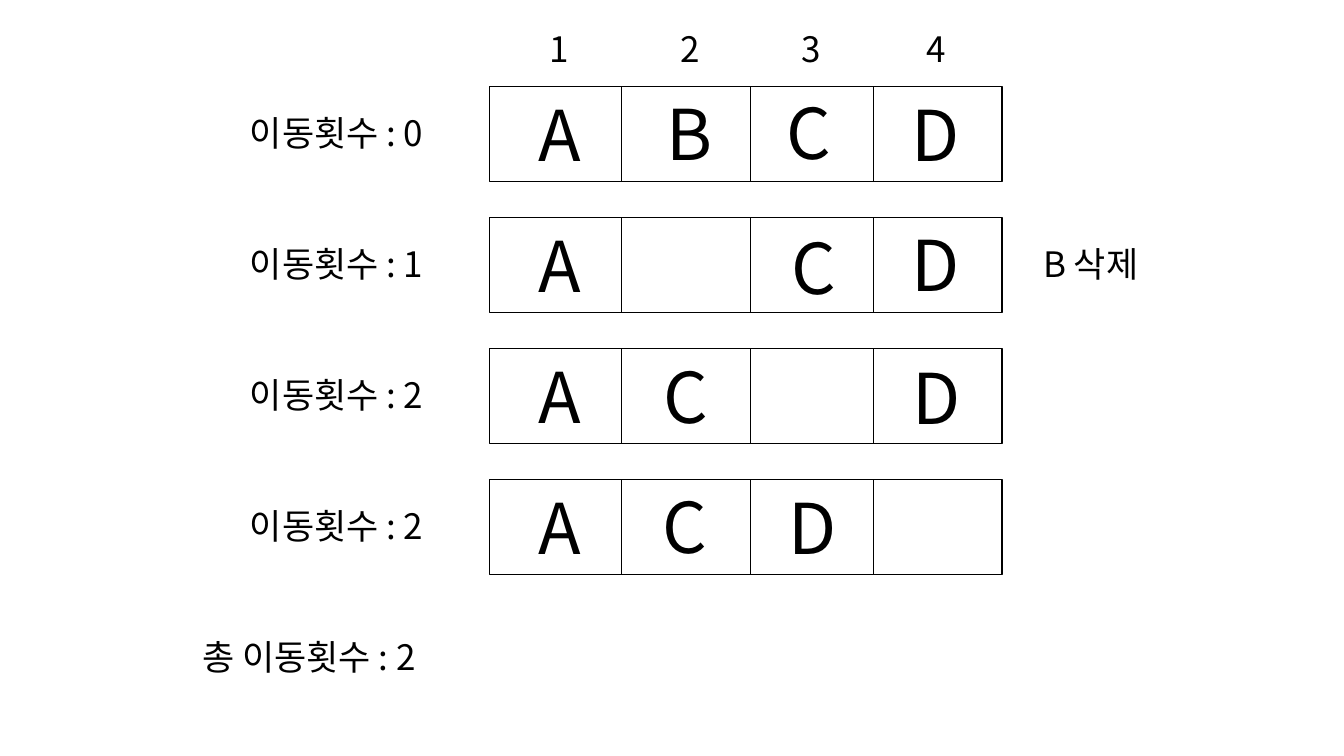
from dataclasses import dataclass

from lxml import etree
from pptx import Presentation
from pptx.dml.color import RGBColor
from pptx.enum.shapes import MSO_CONNECTOR, MSO_SHAPE
from pptx.enum.text import MSO_AUTO_SIZE
from pptx.oxml.ns import qn
from pptx.util import Cm, Pt

STRAIGHT = MSO_CONNECTOR.STRAIGHT
RECTANGLE = MSO_SHAPE.RECTANGLE
FIT_SHAPE = MSO_AUTO_SIZE.SHAPE_TO_FIT_TEXT

COLORS = {"ink": "000000"}
FONT = "Noto Sans CJK KR"
SMALL, LARGE = 25, 50

# Array grid, in centimetres
ROW_TOP, ROW_STEP, ROW_HEIGHT = 2.18, 3.3, 2.4
LEFT, RIGHT = 12.34, 25.25
DIVIDERS = (15.67, 18.9, 22.0)
LABEL_TOP, LABEL_HEIGHT = 2.69, 1.32
LETTER_WIDTHS = {"A": 1.68, "B": 1.55, "C": 1.65, "D": 1.8}


@dataclass
class Letter:
    text: str
    left: float
    shift: float = 0


@dataclass
class Label:
    text: str
    left: float
    top: float
    width: float
    wrap: bool = False


@dataclass
class ArrayRow:
    moves: int
    letters: list[Letter]


A = Letter("A", 13.31)
ROWS = [
    ArrayRow(0, [A, Letter("B", 16.54, -0.03), Letter("C", 19.58, -0.05), Letter("D", 22.73)]),
    ArrayRow(1, [A, Letter("C", 19.71, 0.05), Letter("D", 22.73, -0.03)]),
    ArrayRow(2, [A, Letter("C", 16.48), Letter("D", 22.75, 0.03)]),
    ArrayRow(2, [A, Letter("C", 16.45, -0.03), Letter("D", 19.61)]),
]
LABELS = [
    Label("1", 13.59, 0.58, 1.0),
    Label("2", 16.89, 0.58, 1.0),
    Label("3", 19.96, 0.58, 1.07, wrap=True),
    Label("4", 23.09, 0.58, 1.07, wrap=True),
    Label("B 삭제", 26.04, LABEL_TOP + ROW_STEP, 3.12),
    Label("총 이동횟수 : 2", 4.85, LABEL_TOP + len(ROWS) * ROW_STEP, 6.58),
]


def ink() -> RGBColor:
    return RGBColor.from_string(COLORS["ink"])


def add_text(s, label: Label, size: int, height: float) -> None:
    box = s.shapes.add_textbox(Cm(label.left), Cm(label.top), Cm(label.width), Cm(height))
    tf = box.text_frame
    for name, value in {"word_wrap": label.wrap, "auto_size": FIT_SHAPE}.items():
        setattr(tf, name, value)
    r = tf.paragraphs[0].add_run()
    r.text = label.text
    for name, value in {"name": FONT, "size": Pt(size)}.items():
        setattr(r.font, name, value)
    r.font.color.rgb = ink()
    # Hangul takes its typeface from the East Asian font
    etree.SubElement(r.font._element, qn("a:ea"), typeface=FONT)


def add_frame(s, top: float) -> None:
    frame = s.shapes.add_shape(RECTANGLE, Cm(LEFT), Cm(top), Cm(RIGHT - LEFT), Cm(ROW_HEIGHT))
    frame.shadow.inherit = False
    frame.fill.background()
    frame.line.color.rgb = ink()
    frame.line.width = Pt(1)
    for x in DIVIDERS:
        divider = s.shapes.add_connector(STRAIGHT, Cm(x), Cm(top), Cm(x), Cm(top + ROW_HEIGHT))
        divider.line.color.rgb = ink()
        divider.line.width = Pt(0.5)
        etree.SubElement(divider._element.spPr, qn("a:effectLst"))


def add_row(s, index: int, row: ArrayRow) -> None:
    offset = index * ROW_STEP
    top = ROW_TOP + offset
    add_frame(s, top)
    for letter in row.letters:
        width = LETTER_WIDTHS[letter.text]
        add_text(s, Label(letter.text, letter.left, top + letter.shift, width), LARGE, ROW_HEIGHT)
    add_text(s, Label(f"이동횟수 : {row.moves}", 6.05, LABEL_TOP + offset, 5.38), SMALL, LABEL_HEIGHT)


def main() -> None:
    prs = Presentation()
    prs.slide_width, prs.slide_height = Cm(33.87), Cm(19.05)
    s = prs.slides.add_slide(prs.slide_layouts[6])

    # Array states with their move counts
    for index, row in enumerate(ROWS):
        add_row(s, index, row)

    # Column numbers, deletion note and total
    for label in LABELS:
        add_text(s, label, SMALL, LABEL_HEIGHT)

    prs.save("out.pptx")


if __name__ == "__main__":
    main()
